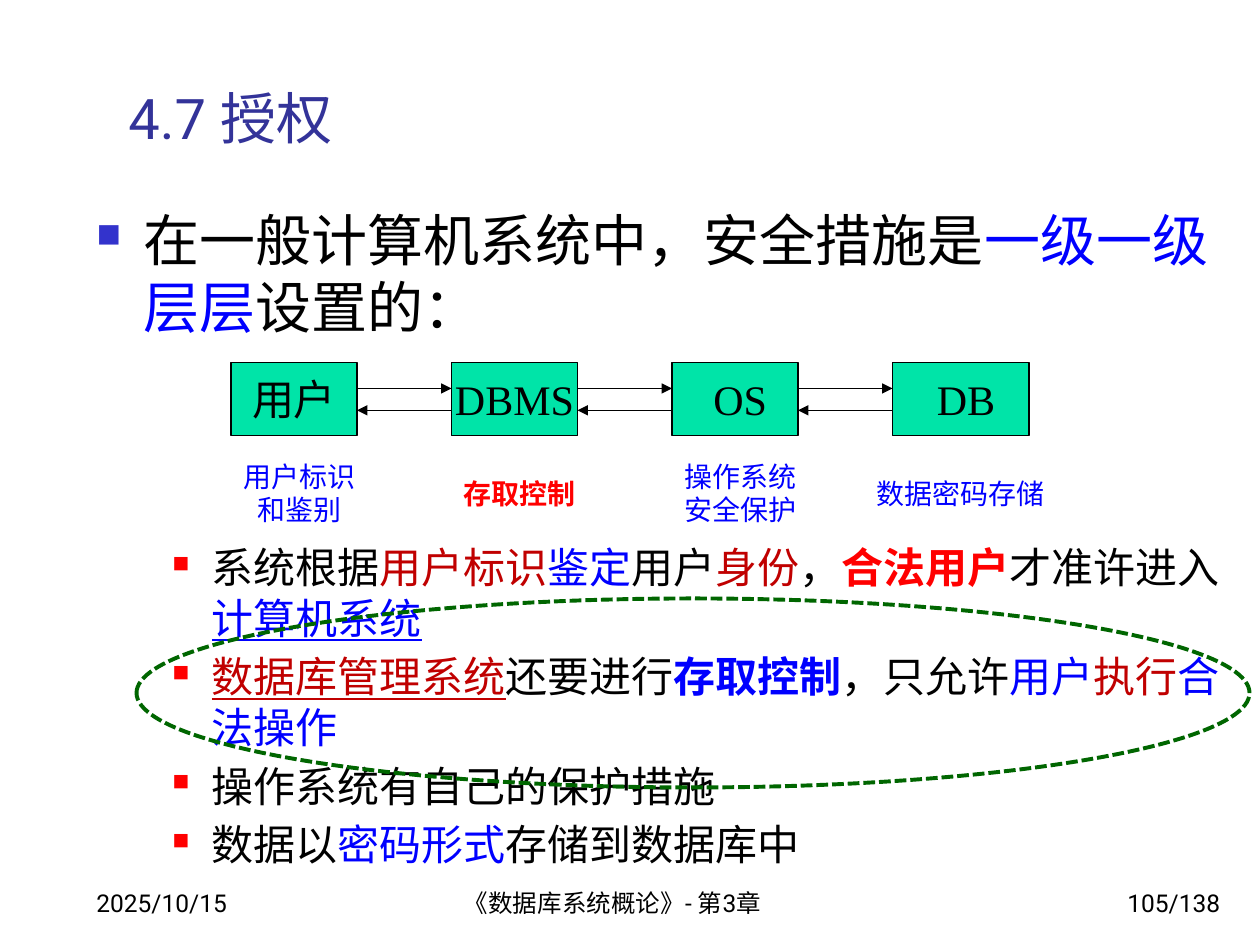
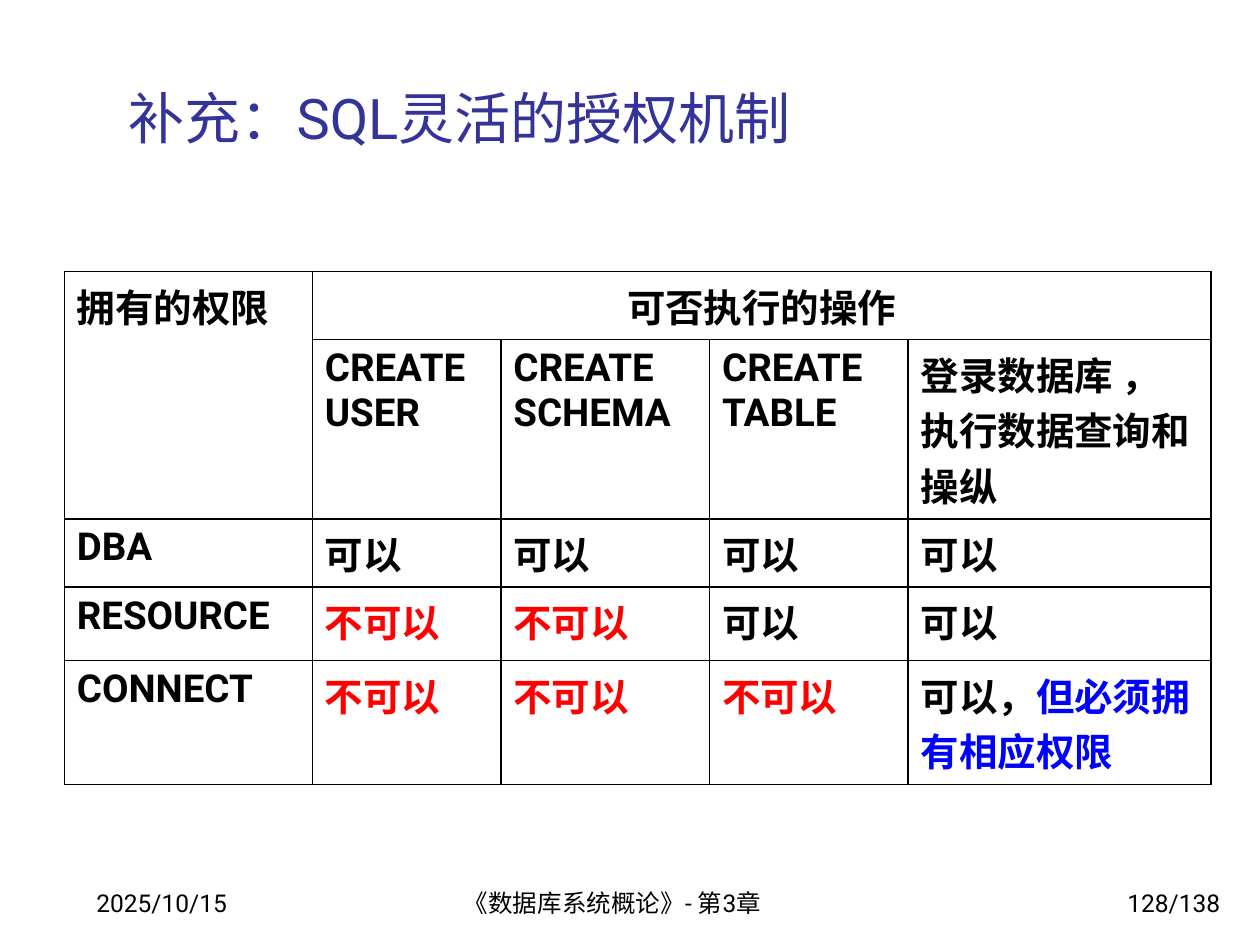
"""Two lecture slides on database authorization."""
from dataclasses import dataclass

from lxml.etree import SubElement as sub
from pptx import Presentation
from pptx.dml.color import RGBColor as Rgb
from pptx.enum.dml import MSO_LINE as Dash
from pptx.enum.shapes import MSO_CONNECTOR as Link, MSO_SHAPE as Form
from pptx.enum.text import MSO_ANCHOR as Anchor, PP_ALIGN as Align
from pptx.oxml.ns import qn
from pptx.util import Pt


@dataclass(frozen=True)
class Theme:
    """Colours, fonts and type sizes that the slides share."""
    black: str = "000000"
    white: str = "FFFFFF"
    blue: str = "0000FF"
    red: str = "FF0000"
    dark_red: str = "C00000"
    title: str = "333399"
    bullet: str = "3333CC"
    node: str = "00E4A8"
    ring: str = "006600"
    sans: str = "Roboto"
    serif: str = "Times New Roman"
    symbols: str = "Wingdings"
    title_size: int = 32
    text_size: int = 24
    table_size: int = 22
    caption_size: int = 16
    footer_size: int = 14


THEME = Theme()
BLUE = {"color": THEME.blue}
RED = {"color": THEME.red}
DARK_RED = {"color": THEME.dark_red}
BOLD = {"bold": True}
UNDERLINE = {"underline": True}

DATE = "2025/10/15"
COURSE = "《数据库系统概论》- 第3章"
LEAD = [["在一般计算机系统中，安全措施是", ("一级一级层层", BLUE), "设置的："]]
STAGES = [
    ("用户", 72, ["用户标识", "和鉴别"], BLUE),
    ("DBMS", 72, ["存取控制"], RED | BOLD),
    (" OS", 72, ["操作系统", "安全保护"], BLUE),
    (" DB", 78, ["数据密码存储"], BLUE),
]
POINTS = [
    ["系统根据", ("用户标识", DARK_RED), ("鉴定", BLUE), "用户", ("身份", DARK_RED), "，",
     ("合法用户", RED | BOLD), "才准许进入", ("计算机系统", BLUE | UNDERLINE)],
    [("数据库管理系统", DARK_RED | UNDERLINE), "还要进行", ("存取控制", BLUE | BOLD),
     "，只允许", ("用户", BLUE), ("执行", DARK_RED), ("合法操作", BLUE)],
    ["操作系统有自己的保护措施"],
    ["数据以", ("密码形式", BLUE), "存储到数据库中"],
]
YES = ["可以"]
NO = [("不可以", RED)]
RIGHTS = [
    [["拥有的权限"], ["可否执行的操作"], [], [], []],
    [[], ["CREATE USER"], ["CREATE SCHEMA"], ["CREATE TABLE"],
     ["登录数据库 ，执行数据查询和操纵"]],
    [["DBA"], YES, YES, YES, YES],
    [["RESOURCE"], NO, NO, YES, YES],
    [["CONNECT"], NO, NO, NO, ["可以，", ("但必须拥有相应权限", BLUE)]],
]


def points(box):
    """Turn plain numbers into point lengths."""
    return [Pt(value) for value in box]


def style(size, color=THEME.black, name=THEME.sans, **extra):
    """Return the format values of a run."""
    return {"size": Pt(size), "color": color, "name": name} | extra


def add_spans(para, spans, base):
    """Write strings and (string, format) pairs as runs."""
    for span in spans:
        text, change = (span, {}) if isinstance(span, str) else span
        run = para.add_run()
        run.text = text
        for key, value in (base | change).items():
            if key == "color":
                run.font.color.rgb = Rgb.from_string(value)
            else:
                setattr(run.font, key, value)


def add_bullet(para, margin, hang, color, percent):
    """Give a paragraph a hanging square bullet."""
    props = para._p.get_or_add_pPr()
    props.set("marL", str(Pt(margin)))
    props.set("indent", str(-Pt(hang)))
    sub(sub(props, qn("a:buClr")), qn("a:srgbClr"), val=color)
    sub(props, qn("a:buSzPct"), val=str(percent * 1000))
    sub(props, qn("a:buFont"), typeface=THEME.symbols, charset="2")
    sub(props, qn("a:buChar"), char="n")


def fill_frame(frame, paras, base, align=Align.LEFT, anchor=Anchor.TOP,
               wrap=True, bullet=None, gap=0):
    """Fill a text frame with paragraphs of spans."""
    frame.word_wrap = wrap
    frame.vertical_anchor = anchor
    for index, spans in enumerate(paras):
        para = frame.add_paragraph() if index else frame.paragraphs[0]
        if bullet:
            add_bullet(para, *bullet)
        para.alignment = align
        para.space_before = Pt(gap if index else 0)
        add_spans(para, spans, base)


def add_text(page, box, paras, base, **layout):
    """Place a text box."""
    frame = page.shapes.add_textbox(*points(box)).text_frame
    fill_frame(frame, paras, base, **layout)


def add_form(page, form, box, fill, line, width=0.75):
    """Place a preset shape, hollow when there is no fill."""
    shape = page.shapes.add_shape(form, *points(box))
    shape.shadow.inherit = False
    if fill:
        shape.fill.solid()
        shape.fill.fore_color.rgb = Rgb.from_string(fill)
    else:
        shape.fill.background()
    shape.line.color.rgb = Rgb.from_string(line)
    shape.line.width = Pt(width)
    return shape


def add_label(page, box, paras, base, fill, line):
    """Place a rectangle with centred text."""
    shape = add_form(page, Form.RECTANGLE, box, fill, line)
    fill_frame(shape.text_frame, paras, base, align=Align.CENTER,
               anchor=Anchor.MIDDLE, wrap=False)


def add_arrow(page, start, end, top):
    """Draw a level arrow."""
    arrow = page.shapes.add_connector(Link.STRAIGHT, *points((start, top, end, top)))
    arrow.line.color.rgb = Rgb.from_string(THEME.black)
    arrow.line.width = Pt(0.75)
    props = arrow._element.spPr
    sub(props.find(qn("a:ln")), qn("a:tailEnd"), type="triangle")
    sub(props, qn("a:effectLst"))


def add_page(deck, title, number):
    """Add a page with its title and footers."""
    page = deck.slides.add_slide(deck.slide_layouts[6])
    add_text(page, (66.25, 29.75, 638, 60), [[title]],
             style(THEME.title_size, THEME.title), anchor=Anchor.BOTTOM)
    footers = [(48, 150, DATE, Align.LEFT), (258, 228, COURSE, Align.LEFT),
               (554.4, 150, f"{number}/138", Align.RIGHT)]
    for left, width, text, align in footers:
        add_text(page, (left, 492, width, 36), [[text]],
                 style(THEME.footer_size), align=align, anchor=Anchor.BOTTOM)
    return page


def add_chain(page, left, top):
    """Draw the chain of protection stages with captions."""
    step, height, end = 126, 42, None
    for index, (name, width, caption, change) in enumerate(STAGES):
        start = left + index * step
        add_label(page, (start, top, width, height), [[name]],
                  style(THEME.text_size, name=THEME.serif), THEME.node, THEME.black)
        add_label(page, (start, top + 59.75, 78, 30), [[text] for text in caption],
                  style(THEME.caption_size, name=THEME.serif) | change,
                  THEME.white, THEME.white)
        if end:
            add_arrow(page, end, start, top + 15)
            add_arrow(page, start, end, top + 27.5)
        end = start + width


def add_border(cell):
    """Rule all four sides of a cell."""
    props = cell._tc.get_or_add_tcPr()
    for side in ("lnL", "lnR", "lnT", "lnB"):
        line = sub(props, qn(f"a:{side}"), w=str(Pt(1)))
        sub(sub(line, qn("a:solidFill")), qn("a:srgbClr"), val=THEME.black)


def add_rights(page, left, top):
    """Place the table of rights."""
    widths, heights = (141.75, 107.75, 119.25, 113.5, 173), (39, 102.5, 39, 42, 71)
    box = points((left, top, sum(widths), sum(heights)))
    table = page.shapes.add_table(len(heights), len(widths), *box).table
    table.first_row = table.horz_banding = False
    for column, width in zip(table.columns, widths):
        column.width = Pt(width)
    for row, height, values in zip(table.rows, heights, RIGHTS):
        row.height = Pt(height)
        for cell, spans in zip(row.cells, values):
            add_border(cell)
            cell.fill.background()
            add_spans(cell.text_frame.paragraphs[0], spans,
                      style(THEME.table_size, bold=True))
    table.cell(0, 0).merge(table.cell(1, 0))
    heading = table.cell(0, 1)
    heading.merge(table.cell(0, 4))
    heading.vertical_anchor = Anchor.MIDDLE
    heading.text_frame.paragraphs[0].alignment = Align.CENTER


def add_measures_page(deck):
    """Build the page on layered security measures."""
    page = add_page(deck, "4.7 授权", 105)
    add_text(page, (48, 114, 657, 78), LEAD, style(THEME.title_size),
             bullet=(27, 27, THEME.bullet, 60))
    add_chain(page, 132, 207)
    add_text(page, (55.5, 306, 657, 192), POINTS, style(THEME.text_size),
             bullet=(58.5, 22.5, THEME.red, 55), gap=4.8)
    ring = add_form(page, Form.OVAL, (78, 342, 636, 108), None, THEME.ring, 2.25)
    ring.line.dash_style = Dash.SQUARE_DOT


def add_rights_page(deck):
    """Build the page on the rights each role has."""
    page = add_page(deck, "补充：SQL灵活的授权机制", 128)
    add_rights(page, 36.75, 155)


def main():
    """Build and save the deck."""
    deck = Presentation()
    deck.slide_width, deck.slide_height = points((720, 540))
    add_measures_page(deck)
    add_rights_page(deck)
    deck.save("out.pptx")


if __name__ == "__main__":
    main()
